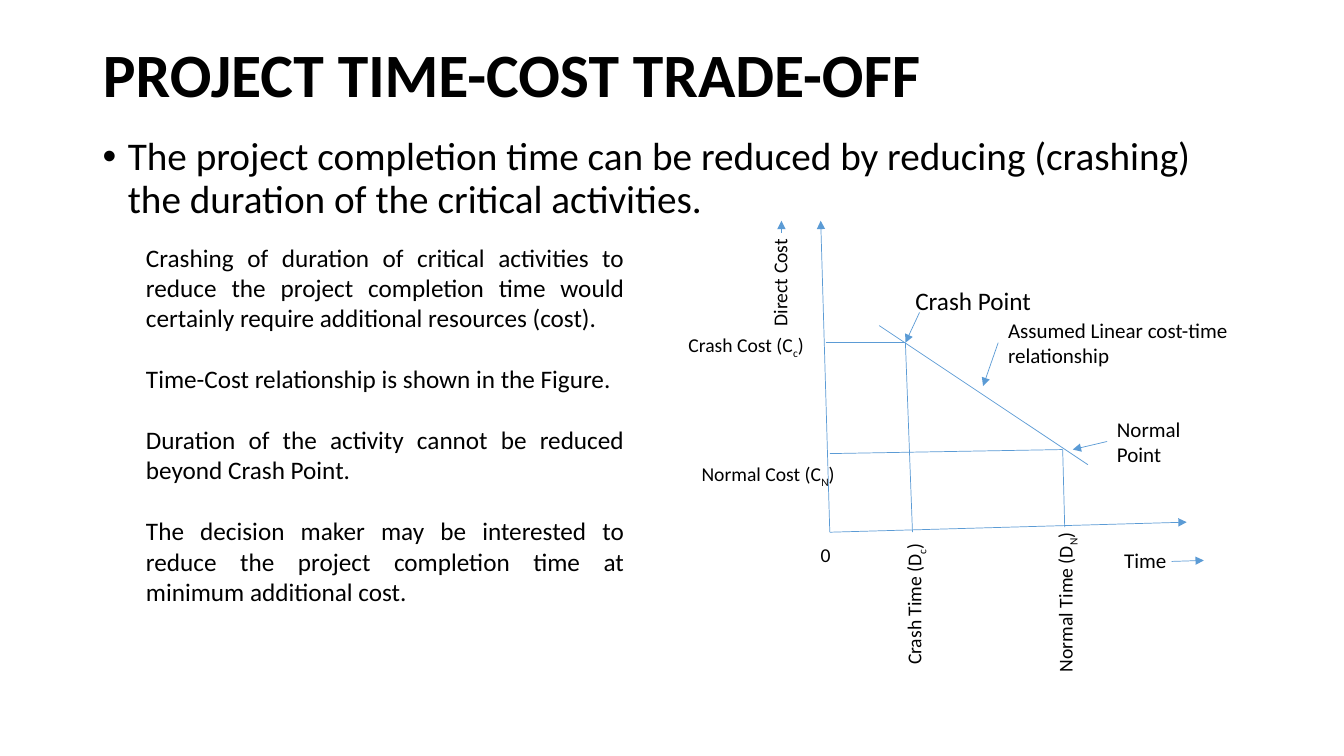
from dataclasses import dataclass

from lxml import etree
from pptx import Presentation
from pptx import util as u
from pptx.dml.color import RGBColor
from pptx.enum import shapes, text
from pptx.oxml import ns

COLOURS = {"ink": "000000", "line": "5B9BD5"}
FONT = "Calibri"

Point = tuple[float, float]


@dataclass(frozen=True)
class Segment:
    start: Point
    end: Point
    arrow: bool = False


@dataclass(frozen=True)
class Label:
    wording: str
    left: float
    top: float
    width: float
    height: float = 0.34
    size: int = 14
    subscript: str = ""
    rotation: int = 0


ORIGIN = (8.23, 5.28)
CRASH_POINT = (8.98, 3.4)
NORMAL_POINT = (10.54, 4.46)

SEGMENTS = [
    Segment(ORIGIN, (8.14, 2.19), arrow=True),
    Segment(ORIGIN, (11.77, 5.18), arrow=True),
    Segment(CRASH_POINT, (9.05, 5.28)),
    Segment(NORMAL_POINT, (10.56, 5.23)),
    Segment((8.23, 4.5), NORMAL_POINT),
    Segment((8.19, 3.4), CRASH_POINT),
    Segment((8.72, 3.23), (10.79, 4.61)),
    Segment((9.9, 3.4), (9.75, 3.83), arrow=True),
    Segment((10.98, 4.38), (10.64, 4.46), arrow=True),
    Segment((9.12, 3.1), CRASH_POINT, arrow=True),
    Segment((11.62, 5.57), (11.94, 5.56), arrow=True),
    Segment((7.75, 2.31), (7.75, 2.19), arrow=True),
]

LABELS = [
    Label("Assumed Linear cost-time relationship", 9.9, 3.1, 2.4, 0.61, 15),
    Label("Normal Point", 10.98, 4.08, 0.96, 0.61, 15),
    Label("Crash Point", 8.98, 2.78, 1.56, 0.4, 18),
    Label("Time", 11.05, 5.38, 0.89, 0.35, 15),
    Label("0", 8.04, 5.34, 0.35),
    Label("Direct Cost", 7.08, 2.51, 1.31, rotation=270),
    Label("Crash Cost (C", 6.73, 3.25, 1.43, subscript="c"),
    Label("Normal Cost (C", 6.86, 4.53, 1.53, subscript="N"),
    Label("Crash Time (D", 8.33, 5.79, 1.47, subscript="c", rotation=270),
    Label("Normal Time (D", 9.7, 5.73, 1.73, subscript="N", rotation=270),
]

BULLET = (
    "The project completion time can be reduced by reducing (crashing) "
    "the duration of the critical activities."
)
EXPLANATION = [
    "Crashing of duration of critical activities to reduce the project "
    "completion time would certainly require additional resources (cost).",
    "Time-Cost relationship is shown in the Figure.",
    "Duration of the activity cannot be reduced beyond Crash Point.",
    "The decision maker may be interested to reduce the project completion "
    "time at minimum additional cost.",
]


def add_run(paragraph, wording: str, size: int, bold: bool = False, baseline: int = 0) -> None:
    run = paragraph.add_run()
    run.text = wording
    run.font.name = FONT
    run.font.size = u.Pt(size)
    run.font.bold = bold
    run.font.color.rgb = RGBColor.from_string(COLOURS["ink"])
    if baseline:
        run.font._element.set("baseline", str(baseline))


def add_text_frame(slide, left: float, top: float, width: float, height: float, rotation: int = 0):
    shape = slide.shapes.add_textbox(
        u.Inches(left), u.Inches(top), u.Inches(width), u.Inches(height)
    )
    shape.rotation = rotation
    shape.text_frame.word_wrap = True
    return shape.text_frame


def add_title(slide) -> None:
    title = slide.shapes.title
    title.left, title.top = u.Inches(0.92), u.Inches(0.4)
    title.width, title.height = u.Inches(10.7), u.Inches(0.74)
    frame = title.text_frame
    frame.auto_size = text.MSO_AUTO_SIZE.NONE
    frame.vertical_anchor = text.MSO_ANCHOR.MIDDLE
    paragraph = frame.paragraphs[0]
    paragraph.alignment = text.PP_ALIGN.LEFT
    paragraph.line_spacing = 0.9
    add_run(paragraph, "PROJECT TIME-COST TRADE-OFF", 44, bold=True)


def add_bullet(slide) -> None:
    paragraph = add_text_frame(slide, 0.92, 1.31, 11.5, 1).paragraphs[0]
    properties = paragraph._p.get_or_add_pPr()
    properties.set("marL", str(u.Inches(0.25)))
    properties.set("indent", str(-u.Inches(0.25)))
    etree.SubElement(properties, ns.qn("a:buFont"), typeface="Arial")
    etree.SubElement(properties, ns.qn("a:buChar"), char="•")
    paragraph.line_spacing = 0.9
    add_run(paragraph, BULLET, 28)


def add_explanation(slide) -> None:
    frame = add_text_frame(slide, 1.35, 2.35, 4.94, 3.97)
    for index, wording in enumerate(EXPLANATION):
        paragraph = frame.add_paragraph() if index else frame.paragraphs[0]
        paragraph.alignment = text.PP_ALIGN.JUSTIFY
        if index:
            paragraph.space_before = u.Pt(22)
        add_run(paragraph, wording, 18)


def add_segment(slide, segment: Segment) -> None:
    ends = [u.Inches(value) for value in segment.start + segment.end]
    connector = slide.shapes.add_connector(shapes.MSO_CONNECTOR.STRAIGHT, *ends)
    connector.line.color.rgb = RGBColor.from_string(COLOURS["line"])
    connector.line.width = u.Pt(0.5)
    if segment.arrow:
        line = connector.line._get_or_add_ln()
        etree.SubElement(line, ns.qn("a:tailEnd"), type="triangle")
    etree.SubElement(connector._element.spPr, ns.qn("a:effectLst"))


def add_label(slide, label: Label) -> None:
    frame = add_text_frame(
        slide, label.left, label.top, label.width, label.height, label.rotation
    )
    paragraph = frame.paragraphs[0]
    add_run(paragraph, label.wording, label.size)
    if label.subscript:
        add_run(paragraph, label.subscript, label.size, baseline=-25000)
        add_run(paragraph, ")", label.size)


def main() -> None:
    presentation = Presentation()
    presentation.slide_width = u.Inches(13.33)
    presentation.slide_height = u.Inches(7.5)
    slide = presentation.slides.add_slide(presentation.slide_layouts.get_by_name("Title Only"))
    add_title(slide)
    add_bullet(slide)
    for segment in SEGMENTS:
        add_segment(slide, segment)
    for label in LABELS:
        add_label(slide, label)
    add_explanation(slide)
    presentation.save("out.pptx")


if __name__ == "__main__":
    main()
